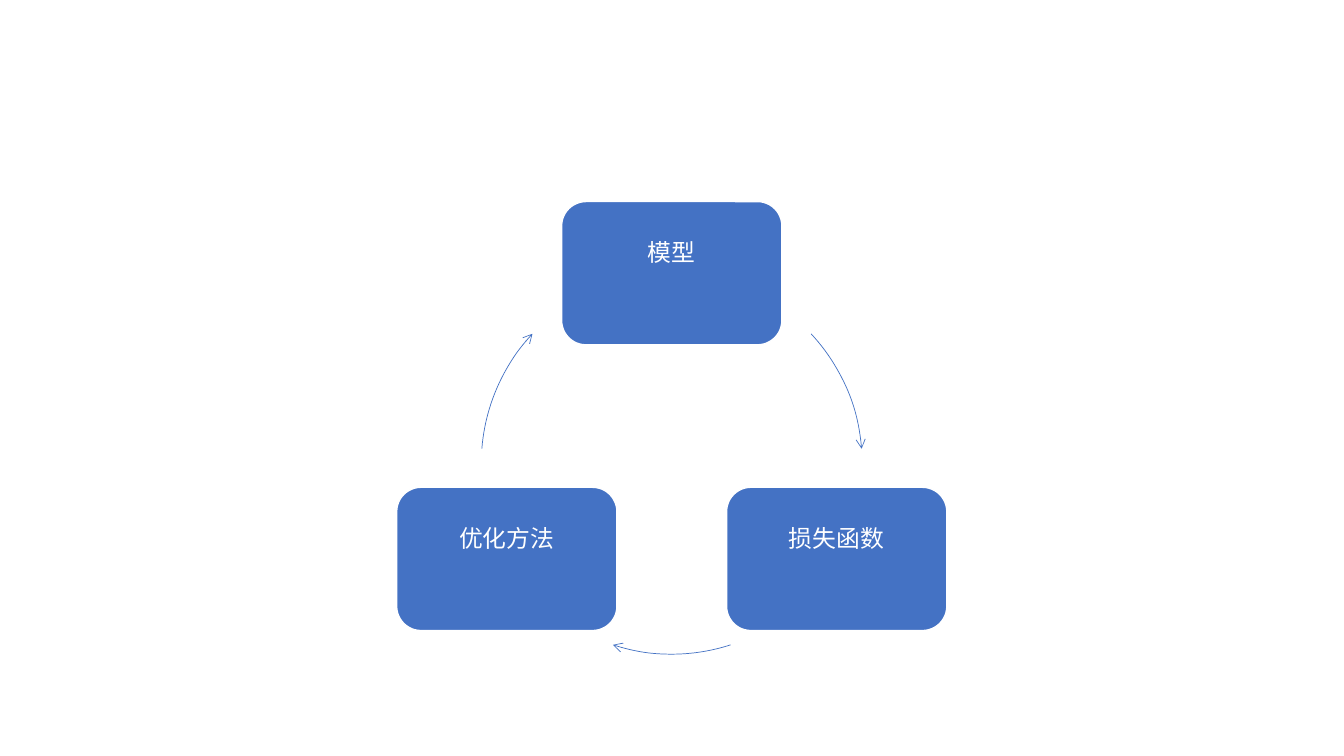
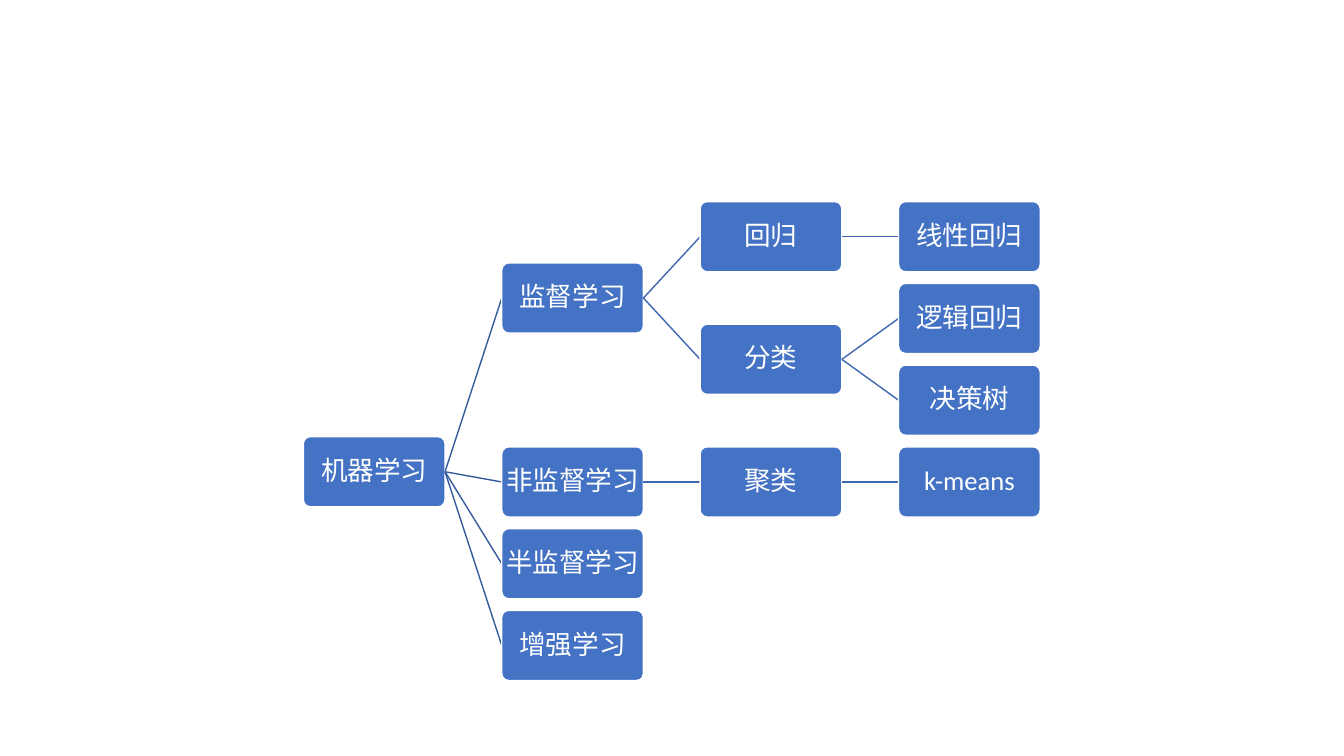
import math
from collections import namedtuple
from dataclasses import dataclass, field
from itertools import count

from pptx import Presentation
from pptx.dml.color import RGBColor
from pptx.enum import shapes, text
from pptx.oxml import ns, xmlchemy
from pptx.util import Cm, Pt

BLUE = RGBColor(0x44, 0x72, 0xC4)
ROOT_LINK = RGBColor(0x36, 0x5B, 0x9D)
BRANCH_LINK = RGBColor(0x3E, 0x67, 0xB2)
WHITE = RGBColor(0xFF, 0xFF, 0xFF)
FONT = "Calibri"

Box = namedtuple("Box", "left top width")
DIAGRAM = Box(6.77, 5.08, 20.32)


@dataclass
class Node:
    label: str
    children: list = field(default_factory=list)
    row: float = 0


@dataclass
class NodeStyle:
    width: float
    height: float
    corner: float
    size: int
    inset: float
    bottom_inset: float


CYCLE_NODE = NodeStyle(5.55, 3.61, 0.17, 17, 0.17, 1.15)
TREE_NODE = NodeStyle(3.57, 1.77, 0.1, 19, 0.03, 0.03)

CYCLE_RADIUS = 4.8
CYCLE_STEPS = [
    ("模型", 270, (317, 355.5)),
    ("损失函数", 30, (72, 108)),
    ("优化方法", 150, (184.5, 223)),
]

COLUMN_PITCH = 5
ROW_PITCH = 2.06
MACHINE_LEARNING = Node("机器学习", [
    Node("监督学习", [
        Node("回归", [Node("线性回归")]),
        Node("分类", [Node("逻辑回归"), Node("决策树")]),
    ]),
    Node("非监督学习", [Node("聚类", [Node("k-means")])]),
    Node("半监督学习"),
    Node("增强学习"),
])


def add_node(slide, label, center_x, center_y, style):
    shape = slide.shapes.add_shape(
        shapes.MSO_SHAPE.ROUNDED_RECTANGLE,
        Cm(center_x - style.width / 2), Cm(center_y - style.height / 2),
        Cm(style.width), Cm(style.height))
    shape.adjustments[0] = style.corner
    shape.shadow.inherit = False
    shape.fill.solid()
    shape.fill.fore_color.rgb = BLUE
    shape.line.color.rgb = WHITE
    shape.line.width = Pt(1)
    frame = shape.text_frame
    frame.word_wrap = True
    frame.vertical_anchor = text.MSO_ANCHOR.MIDDLE
    frame.margin_left = frame.margin_right = frame.margin_top = Cm(style.inset)
    frame.margin_bottom = Cm(style.bottom_inset)
    paragraph = frame.paragraphs[0]
    paragraph.alignment = text.PP_ALIGN.CENTER
    paragraph.line_spacing = 0.9
    run = paragraph.add_run()
    run.text = label
    run.font.name = FONT
    run.font.size = Pt(style.size)
    run.font.color.rgb = WHITE


def add_arc_arrow(slide, center_x, center_y, radius, angles):
    arc = slide.shapes.add_shape(
        shapes.MSO_SHAPE.ARC,
        Cm(center_x - radius), Cm(center_y - radius),
        Cm(2 * radius), Cm(2 * radius))
    for index, angle in enumerate(angles):
        arc.adjustments[index] = angle * 0.6
    arc.shadow.inherit = False
    arc.fill.background()
    arc.line.color.rgb = BLUE
    arc.line.width = Pt(0.5)
    arrowhead = xmlchemy.OxmlElement("a:tailEnd")
    arrowhead.set("type", "arrow")
    arc.line._get_or_add_ln().append(arrowhead)


def add_link(slide, start, end, color):
    lengths = [Cm(value) for value in (*start, *end)]
    link = slide.shapes.add_connector(shapes.MSO_CONNECTOR.STRAIGHT, *lengths)
    link.line.color.rgb = color
    link.line.width = Pt(1)
    properties = link._element.find(ns.qn("p:spPr"))
    properties.append(xmlchemy.OxmlElement("a:effectLst"))


def draw_cycle(slide, box):
    center_x = box.left + box.width / 2
    center_y = box.top + CYCLE_NODE.height / 2 + CYCLE_RADIUS
    for label, angle, arc_angles in CYCLE_STEPS:
        direction = math.radians(angle)
        add_node(slide, label,
                 center_x + CYCLE_RADIUS * math.cos(direction),
                 center_y + CYCLE_RADIUS * math.sin(direction), CYCLE_NODE)
        add_arc_arrow(slide, center_x, center_y, CYCLE_RADIUS, arc_angles)


def assign_rows(node, leaf_rows):
    for child in node.children:
        assign_rows(child, leaf_rows)
    if node.children:
        node.row = (node.children[0].row + node.children[-1].row) / 2
    else:
        node.row = next(leaf_rows)


def tree_depth(node):
    return 1 + max(map(tree_depth, node.children), default=0)


def draw_tree(slide, box, root):
    assign_rows(root, count())
    tree_width = (tree_depth(root) - 1) * COLUMN_PITCH
    first_x = box.left + (box.width - tree_width) / 2
    first_y = box.top + TREE_NODE.height / 2
    half_width = TREE_NODE.width / 2

    def draw_branch(node, column):
        x = first_x + column * COLUMN_PITCH
        y = first_y + node.row * ROW_PITCH
        add_node(slide, node.label, x, y, TREE_NODE)
        for child in node.children:
            child_y = first_y + child.row * ROW_PITCH
            add_link(slide, (x + half_width, y),
                     (x + COLUMN_PITCH - half_width, child_y),
                     BRANCH_LINK if column else ROOT_LINK)
            draw_branch(child, column + 1)

    draw_branch(root, 0)


presentation = Presentation()
presentation.slide_width = Cm(33.87)
presentation.slide_height = Cm(19.05)
blank_layout = presentation.slide_layouts[6]
draw_cycle(presentation.slides.add_slide(blank_layout), DIAGRAM)
draw_tree(presentation.slides.add_slide(blank_layout), DIAGRAM, MACHINE_LEARNING)
presentation.save("out.pptx")
